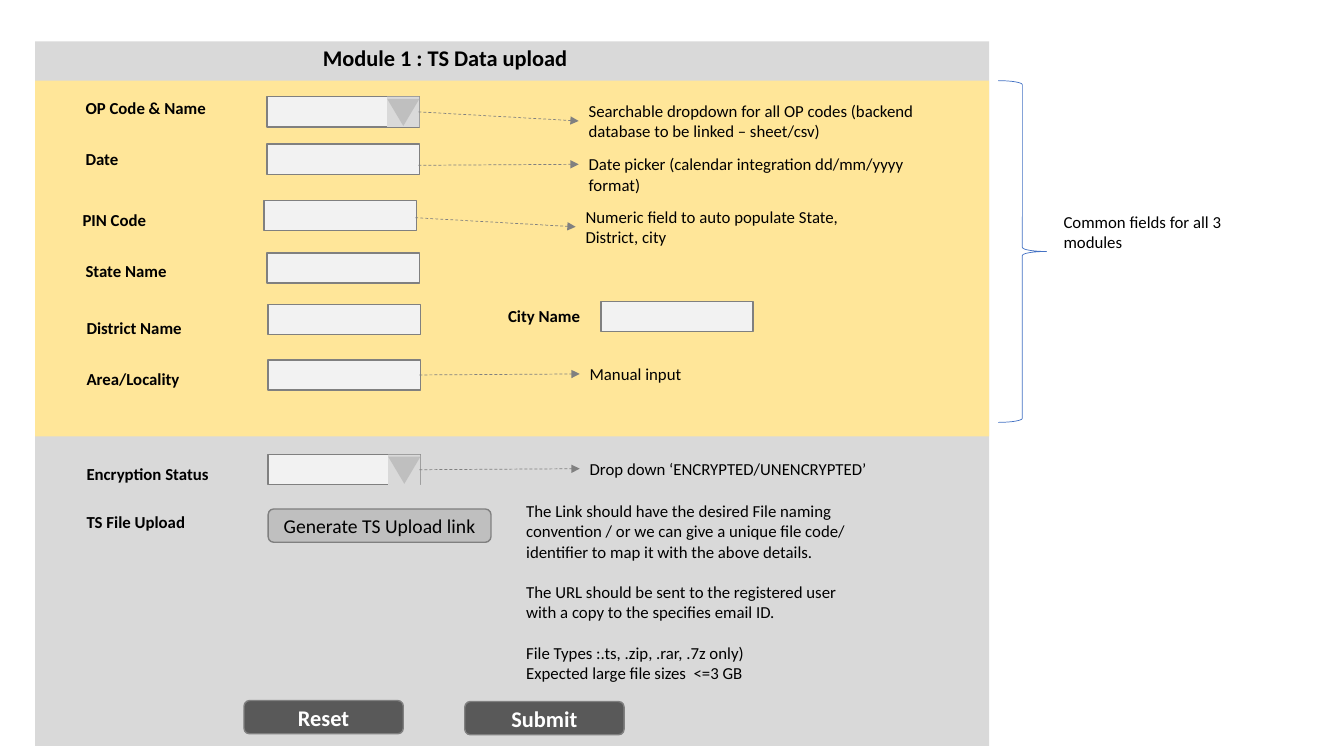
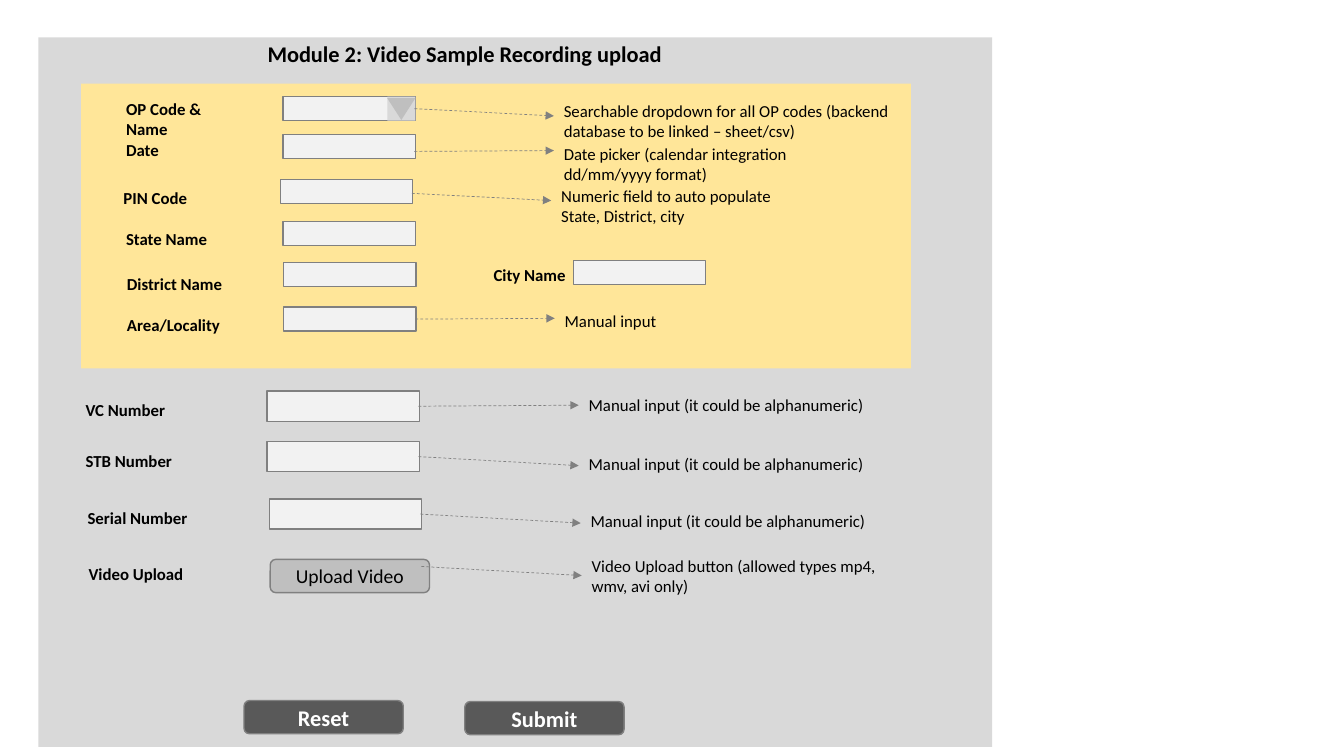
import dataclasses

import lxml.etree
import pptx
import pptx.dml.color
import pptx.enum.dml
import pptx.enum.shapes
import pptx.enum.text
import pptx.oxml.ns
import pptx.shapes.autoshape
import pptx.slide
import pptx.util

Inches = pptx.util.Inches
Pt = pptx.util.Pt
RGBColor = pptx.dml.color.RGBColor
Preset = pptx.enum.shapes.MSO_SHAPE
Align = pptx.enum.text.PP_ALIGN
Anchor = pptx.enum.text.MSO_ANCHOR
Fit = pptx.enum.text.MSO_AUTO_SIZE
qn = pptx.oxml.ns.qn

BLACK = RGBColor(0x00, 0x00, 0x00)
WHITE = RGBColor(0xFF, 0xFF, 0xFF)
PANEL = RGBColor(0xD9, 0xD9, 0xD9)
YELLOW = RGBColor(0xFF, 0xE6, 0x99)
INPUT = RGBColor(0xF2, 0xF2, 0xF2)
EDGE = RGBColor(0x80, 0x80, 0x80)
SILVER = RGBColor(0xBF, 0xBF, 0xBF)
DARK = RGBColor(0x59, 0x59, 0x59)
BLUE = RGBColor(0x44, 0x72, 0xC4)
FONT = "Calibri"
BLANK_LINE = Pt(14.6)
BOX_W, BOX_H = 1.51, 0.3
BUTTON_H = 0.33


@dataclasses.dataclass(frozen=True)
class Frame:
    """Maps form coordinates, in inches, to the slide."""
    left: float = 0
    top: float = 0
    wide: float = 1
    high: float = 1

    def point(self, x: float, y: float) -> tuple:
        return Inches(self.left + x * self.wide), Inches(self.top + y * self.high)

    def area(self, x: float, y: float, w: float, h: float) -> tuple:
        return *self.point(x, y), Inches(w * self.wide), Inches(h * self.high)


@dataclasses.dataclass(frozen=True)
class Field:
    """One form row; x and y place its input, the other columns follow."""
    label: str
    x: float
    y: float
    label_y: float
    label_w: float = 1.85
    menu: bool = False
    button: str = ""
    button_w: float = 1.58
    note: str = ""
    note_y: float = 0
    note_w: float = 3.07
    note_h: float = 0.3
    arrow_y: float = 0
    drop: float = -0.01


PLAIN = Frame()

COMMON = [
    Field("OP Code & Name", 2.65, 0.96, 0.92, label_w=1.51, menu=True,
          note="Searchable dropdown for all OP codes (backend database to be linked – sheet/csv)",
          note_y=0.95, note_w=4.07, note_h=0.5, arrow_y=1.11, drop=0.09),
    Field("Date", 2.65, 1.43, 1.43,
          note="Date picker (calendar integration dd/mm/yyyy format)",
          note_y=1.48, note_w=3.68, note_h=0.5, arrow_y=1.64),
    Field("PIN Code", 2.62, 1.99, 2.03,
          note="Numeric field to auto populate State, District, city",
          note_y=2, note_h=0.5, arrow_y=2.16, drop=0.09),
    Field("State Name", 2.65, 2.51, 2.54),
    Field("District Name", 2.66, 3.02, 3.1),
    Field("Area/Locality", 2.66, 3.57, 3.61, note="Manual input",
          note_y=3.56, note_w=1.86, arrow_y=3.72),
]
UPLOAD = [
    Field("Encryption Status", 2.66, 4.51, 4.55, menu=True,
          note="Drop down ‘ENCRYPTED/UNENCRYPTED’",
          note_y=4.5, note_w=3.45, arrow_y=4.66),
    Field("TS File Upload", 2.66, 5.05, 5.03,
          button="Generate TS Upload link", button_w=2.21),
]
MANUAL = "Manual input (it could be alphanumeric)"
VIDEO = [
    Field("VC Number", 2.65, 3.88, 3.92, note=MANUAL, note_y=3.87, arrow_y=4.03),
    Field("STB Number", 2.65, 4.38, 4.42, note=MANUAL, note_y=4.45,
          arrow_y=4.53, drop=0.09),
    Field("Serial Number", 2.67, 4.95, 4.99, note=MANUAL, note_y=5.02,
          arrow_y=5.1, drop=0.09),
    Field("Video Upload", 2.68, 5.55, 5.54, button="Upload Video",
          note="Video Upload button (allowed types mp4, wmv, avi only)",
          note_y=5.46, note_h=0.5, arrow_y=5.62, drop=0.09),
]
LINK_NOTES = [
    "The Link should have the desired File naming convention / or we can give "
    "a unique file code/ identifier to map it with the above details.",
    "The URL should be sent to the registered user with a copy to the specifies email ID.",
    "File Types :.ts, .zip, .rar, .7z only)",
    "Expected large file sizes  <=3 GB",
]


def style(frame: pptx.text.text.TextFrame, size: int, color: RGBColor = BLACK,
          bold: bool = False, align: Align = Align.LEFT) -> None:
    for para in frame.paragraphs:
        para.alignment = align
        for run in para.runs:
            run.font.name = FONT
            run.font.size = Pt(size)
            run.font.bold = bold
            run.font.color.rgb = color


def add_text(slide: pptx.slide.Slide, area: tuple, text: str,
             bold: bool = False) -> pptx.text.text.TextFrame:
    frame = slide.shapes.add_textbox(*area).text_frame
    frame.word_wrap = True
    frame.auto_size = Fit.SHAPE_TO_FIT_TEXT
    frame.text = text
    style(frame, 12, bold=bold)
    return frame


def add_block(slide: pptx.slide.Slide, area: tuple, fill: RGBColor | None,
              edge: RGBColor | None = None, kind: Preset = Preset.RECTANGLE,
              width: float = 1) -> pptx.shapes.autoshape.Shape:
    block = slide.shapes.add_shape(kind, *area)
    block.shadow.inherit = False
    if fill is None:
        block.fill.background()
    else:
        block.fill.solid()
        block.fill.fore_color.rgb = fill
    if edge is None:
        block.line.fill.background()
    else:
        block.line.color.rgb = edge
        block.line.width = Pt(width)
    return block


def add_button(slide: pptx.slide.Slide, area: tuple, text: str, size: int,
               fill: RGBColor, color: RGBColor, bold: bool) -> None:
    block = add_block(slide, area, fill, EDGE, Preset.ROUNDED_RECTANGLE)
    block.text_frame.text = text
    block.text_frame.vertical_anchor = Anchor.MIDDLE
    style(block.text_frame, size, color, bold, Align.CENTER)


def add_arrow(slide: pptx.slide.Slide, start: tuple, end: tuple) -> None:
    arrow = slide.shapes.add_connector(
        pptx.enum.shapes.MSO_CONNECTOR.STRAIGHT, *start, *end)
    arrow.line.color.rgb = EDGE
    arrow.line.width = Pt(0.5)
    arrow.line.dash_style = pptx.enum.dml.MSO_LINE.DASH
    props = arrow.element.spPr
    lxml.etree.SubElement(props.get_or_add_ln(), qn("a:tailEnd"), type="triangle")
    lxml.etree.SubElement(props, qn("a:effectLst"))


def add_field(slide: pptx.slide.Slide, field: Field, frame: Frame = PLAIN) -> None:
    x, y = field.x, field.y
    add_text(slide, frame.area(x - 1.9, field.label_y, field.label_w, BOX_H),
             field.label, bold=True)
    if field.button:
        add_button(slide, frame.area(x, y, field.button_w, BUTTON_H),
                   field.button, 14, SILVER, BLACK, False)
    else:
        add_block(slide, frame.area(x, y, BOX_W, BOX_H), INPUT, EDGE)
    if field.menu:
        add_block(slide, frame.area(x + 1.19, y, 0.32, BOX_H), PANEL)
        mark = add_block(slide, frame.area(x + 1.19, y + 0.02, 0.32, 0.27),
                         SILVER, kind=Preset.ISOSCELES_TRIANGLE)
        mark.rotation = 180
    if field.note:
        note_x = x + 3.09
        add_text(slide, frame.area(note_x, field.note_y, field.note_w, field.note_h),
                 field.note)
        add_arrow(slide, frame.point(x + 1.5, field.arrow_y),
                  frame.point(note_x, field.arrow_y + field.drop))


def add_common(slide: pptx.slide.Slide, frame: Frame = PLAIN) -> None:
    """Draw the yellow section that the modules share."""
    add_block(slide, frame.area(0.35, 0.8, 9.46, 3.53), YELLOW)
    for field in COMMON:
        add_field(slide, field, frame)
    add_text(slide, frame.area(4.94, 2.98, 1.85, BOX_H), "City Name", bold=True)
    add_block(slide, frame.area(5.96, 2.99, BOX_W, BOX_H), INPUT, EDGE)


def add_module(deck: pptx.presentation.Presentation, title: str, title_area: tuple,
               panel: tuple) -> pptx.slide.Slide:
    """Start a slide with its grey panel, title and closing buttons."""
    slide = deck.slides.add_slide(deck.slide_layouts.get_by_name("Title Only"))
    add_block(slide, PLAIN.area(*panel), PANEL)
    head = slide.shapes.title
    head.left, head.top, head.width, head.height = PLAIN.area(*title_area)
    frame = head.text_frame
    frame.text = title
    frame.word_wrap = True
    frame.auto_size = Fit.NONE
    frame.vertical_anchor = Anchor.TOP
    style(frame, 16, bold=True, align=Align.CENTER)
    # The title must lie in front of the panel.
    head.element.getparent().append(head.element)
    for text, x, y in (("Reset", 2.42, 6.95), ("Submit", 4.61, 6.96)):
        add_button(slide, PLAIN.area(x, y, 1.58, BUTTON_H), text, 16, DARK, WHITE, True)
    return slide


def add_upload(deck: pptx.presentation.Presentation) -> None:
    slide = add_module(deck, "Module 1 : TS Data upload",
                       (2.62, 0.39, 3.59, 0.37), (0.35, 0.41, 9.46, 6.99))
    add_common(slide)
    for field in UPLOAD:
        add_field(slide, field)
    notes = add_text(slide, PLAIN.area(5.12, 4.92, 3.58, 2.12), "\n".join(LINK_NOTES))
    for para in notes.paragraphs[1:3]:
        para.space_before = BLANK_LINE
    add_block(slide, PLAIN.area(9.9, 0.8, 0.48, 3.39), None, BLUE,
              Preset.RIGHT_BRACE, 0.5)
    add_text(slide, PLAIN.area(10.45, 2.05, 1.8, 0.5), "Common fields for all 3 modules")


def add_video(deck: pptx.presentation.Presentation) -> None:
    slide = add_module(deck, "Module 2: Video Sample Recording upload",
                       (2.18, 0.35, 4.86, 0.37), (0.38, 0.37, 9.46, 7.04))
    add_common(slide, Frame(left=0.5, top=0.19, wide=0.87, high=0.8))
    for field in VIDEO:
        add_field(slide, field)


def main() -> None:
    deck = pptx.Presentation()
    deck.slide_width = Inches(13.33)
    deck.slide_height = Inches(7.5)
    add_upload(deck)
    add_video(deck)
    deck.save("out.pptx")


if __name__ == "__main__":
    main()
